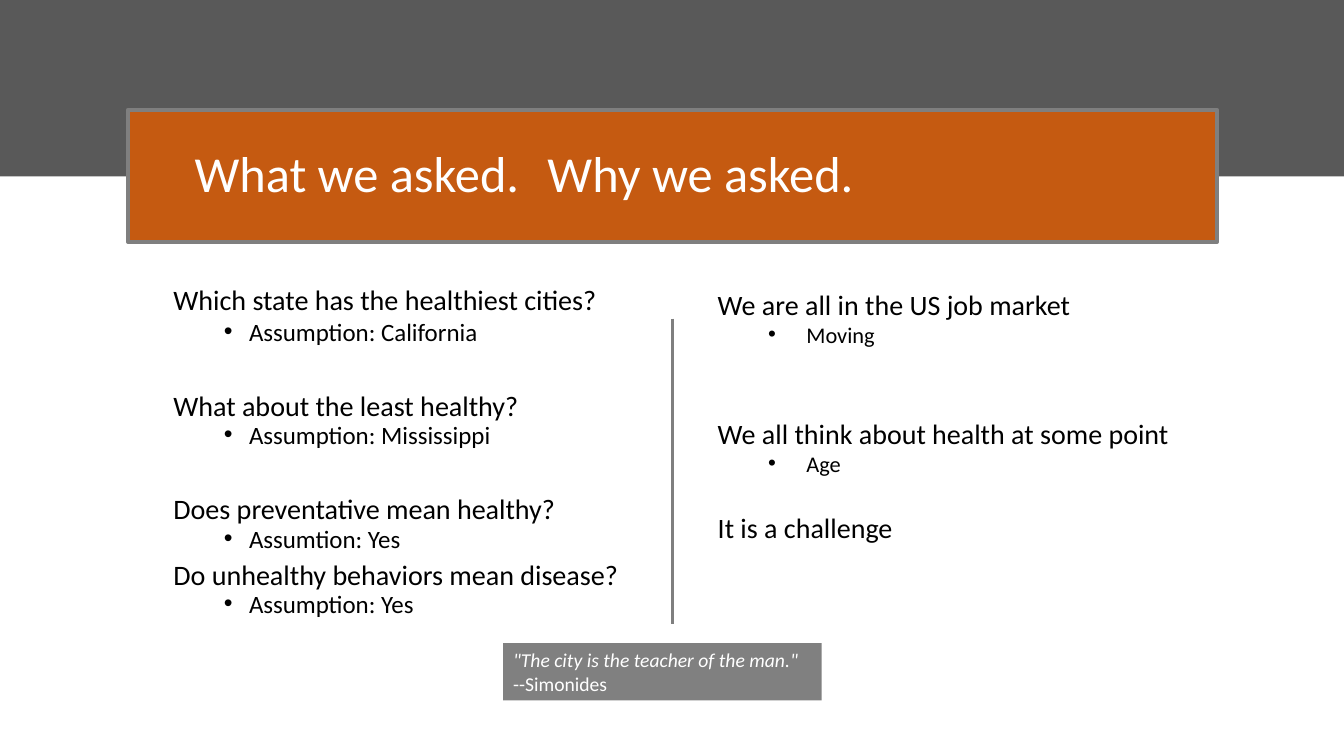
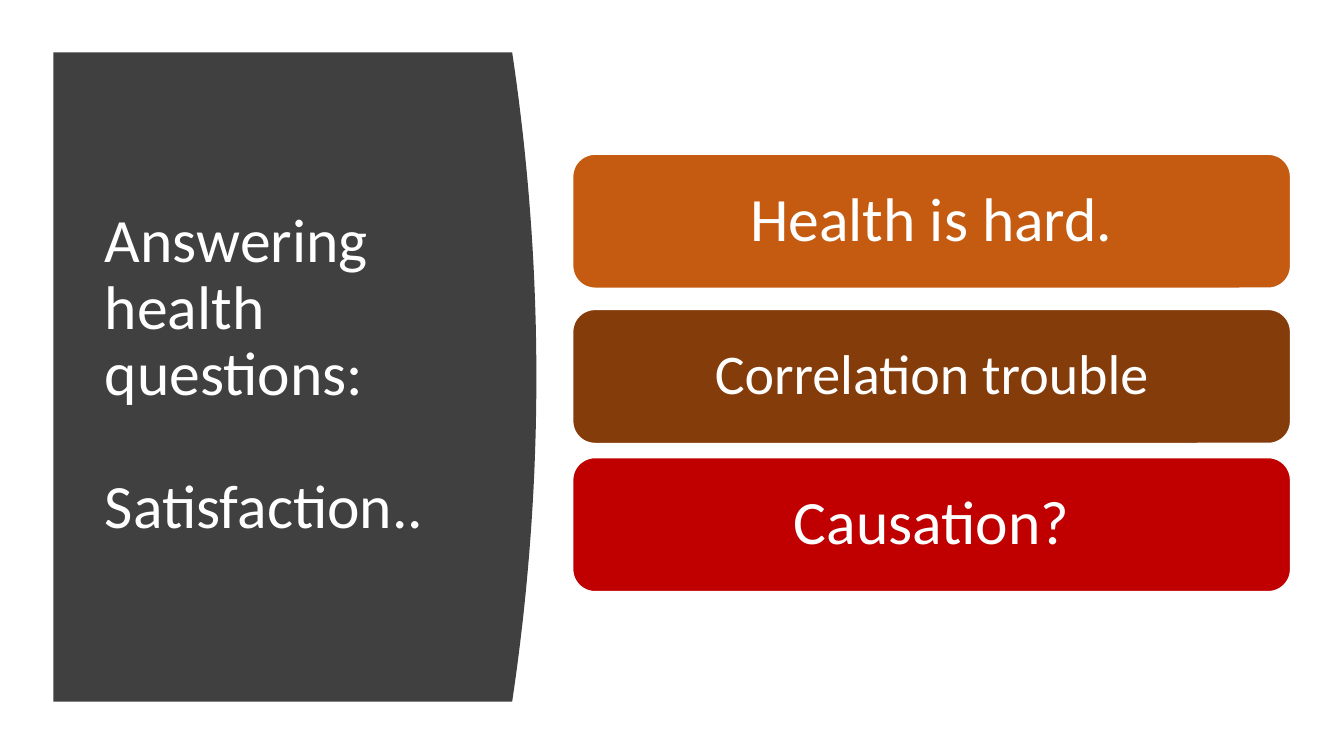
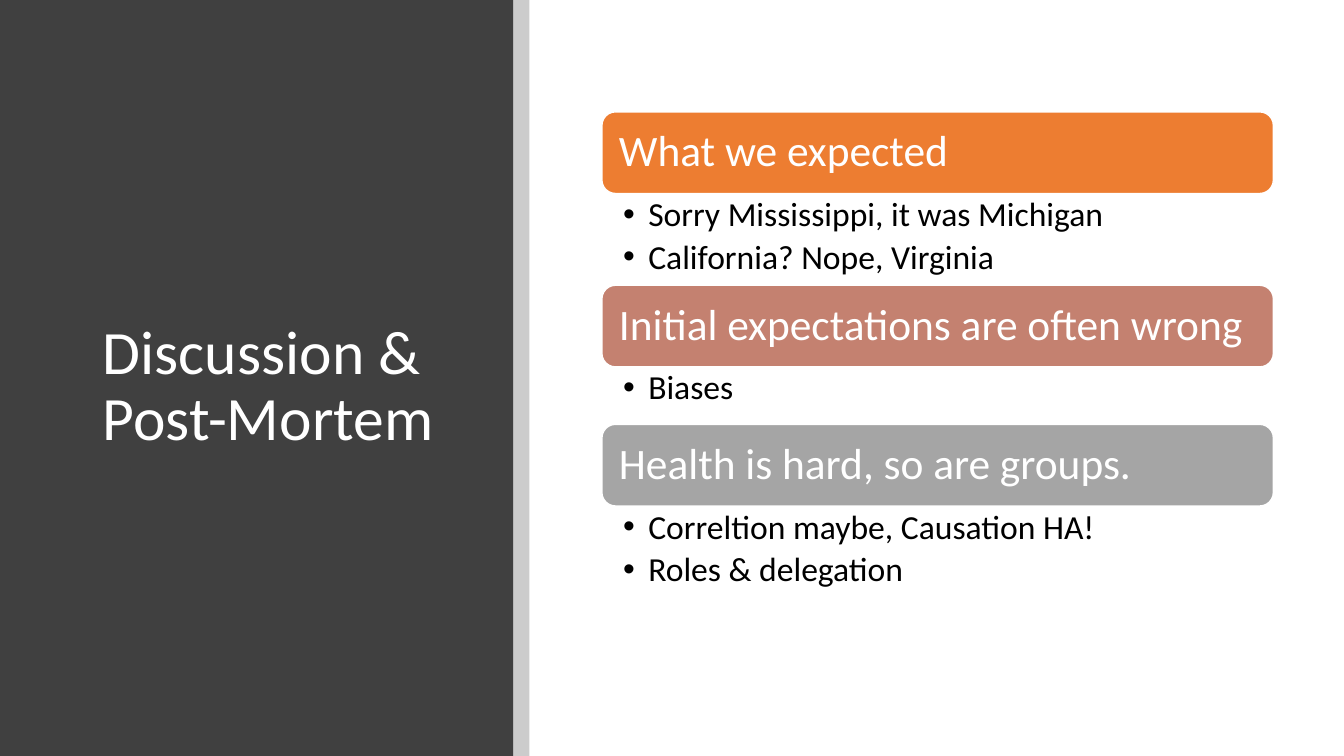
import pptx
import pptx.util
import pptx.dml.color
import pptx.enum.shapes
import pptx.enum.text
import lxml.etree
from pptx.oxml.ns import qn

Inches, Pt = pptx.util.Inches, pptx.util.Pt
rgb = pptx.dml.color.RGBColor.from_string
Kind = pptx.enum.shapes.MSO_SHAPE
Align = pptx.enum.text.PP_ALIGN
Anchor = pptx.enum.text.MSO_ANCHOR

# Shared colours and text styles
FONT = "Calibri"
WHITE, BLACK, DARK, GRAY, RUST = "FFFFFF", "000000", "404040", "7F7F7F", "C55A11"
TITLE = {"size": 44, "color": WHITE, "line": 0.9}
SIDES = ("margin_left", "margin_top", "margin_right", "margin_bottom")


def paint(shape, fill, line=None, width=1):
    shape.shadow.inherit = False
    shape.fill.solid()
    shape.fill.fore_color.rgb = rgb(fill)
    if line:
        shape.line.color.rgb = rgb(line)
        shape.line.width = Pt(width)
    else:
        shape.line.fill.background()
    return shape


def write(frame, rows, pad=(0.1, 0.05, 0.1, 0.05), anchor=Anchor.TOP):
    """Fill a frame with (text, style) rows, one paragraph each."""
    frame.word_wrap = True
    frame.auto_size = pptx.enum.text.MSO_AUTO_SIZE.NONE
    frame.vertical_anchor = anchor
    for side, gap in zip(SIDES, pad):
        setattr(frame, side, Inches(gap))
    for num, (text, style) in enumerate(rows):
        para = frame.add_paragraph() if num else frame.paragraphs[0]
        layout = {
            "alignment": style.get("align", Align.LEFT),
            "line_spacing": style.get("line", 1.0),
            "space_before": Pt(style.get("before", 0)),
            "space_after": Pt(style.get("after", 0)),
            "level": 1 if "hang" in style else 0,
        }
        for name, value in layout.items():
            setattr(para, name, value)
        # Bullet with hanging indent, and tab stop
        props = para._p.get_or_add_pPr()
        left, hang = style.get("hang", (0, 0))
        props.set("marL", str(Inches(left)))
        props.set("indent", str(Inches(hang)))
        if "hang" in style:
            lxml.etree.SubElement(props, qn("a:buFont")).set("typeface", "Arial")
            lxml.etree.SubElement(props, qn("a:buChar")).set("char", "•")
        else:
            lxml.etree.SubElement(props, qn("a:buNone"))
        if "tab" in style:
            tabs = lxml.etree.SubElement(props, qn("a:tabLst"))
            stop = lxml.etree.SubElement(tabs, qn("a:tab"))
            stop.set("pos", str(Inches(style["tab"])))
            stop.set("algn", "l")
        run = para.add_run()
        run.text = text
        face = {"name": FONT, "size": Pt(style["size"]),
                "italic": style.get("italic", False)}
        for name, value in face.items():
            setattr(run.font, name, value)
        run.font.color.rgb = rgb(style["color"])


deck = pptx.Presentation()
deck.slide_width, deck.slide_height = Inches(13.33), Inches(7.5)

# Slides with their titles: layout, title place, padding, rows
plans = [
    (1, (1.27, 1.09, 10.8, 1.31), 0.66,
     [("What we asked.\tWhy we asked.", {**TITLE, "size": 36, "tab": 5.67})]),
    (5, (0.94, 1.11, 3.74, 5.24), 0.1,
     [("Answering health questions:", TITLE),
      ("Satisfaction..", {**TITLE, "before": 47.5})]),
    (5, (0.92, 0.89, 3.65, 5.91), 0.1, [("Discussion & Post-Mortem", TITLE)]),
]
slides = []
for index, place, left, rows in plans:
    slide = deck.slides.add_slide(deck.slide_layouts[index])
    title = slide.shapes.title
    title.left, title.top, title.width, title.height = map(Inches, place)
    write(title.text_frame, rows, (left, 0.05, 0.1, 0.05), Anchor.MIDDLE)
    slides.append(slide)
ask, answer, review = slides

# Slide 1: top band behind the title box
band = ask.shapes.add_shape(Kind.RECTANGLE, 0, 0, deck.slide_width, Inches(1.75))
paint(band, "595959")
ask.shapes._spTree.insert(2, band._element)
paint(ask.shapes.title, RUST, GRAY, 3)

# Slide 1: questions
head = {"size": 20.1, "color": BLACK, "line": 0.7, "before": 10}
item = {**head, "size": 17.8, "before": 5, "hang": (0.75, -0.25)}
body = ask.placeholders[1]
body.left, body.top, body.width, body.height = map(Inches, (1.62, 2.84, 4.7, 3.56))
write(body.text_frame, [
    ("Which state has the healthiest cities?", {**head, "before": 0}),
    ("Assumption: California", {**item, "before": 7}),
    ("What about the least healthy?", {**head, "before": 37}),
    ("Assumption: Mississippi", item),
    ("Does preventative mean healthy?", {**head, "before": 37}),
    ("Assumtion: Yes", item),
    ("Do unhealthy behaviors mean disease?", head),
    ("Assumption: Yes", item),
])

# Slide 1: divider
rule = ask.shapes.add_connector(
    pptx.enum.shapes.MSO_CONNECTOR.STRAIGHT,
    Inches(6.67), Inches(3.16), Inches(6.67), Inches(6.19))
rule.line.color.rgb = rgb(GRAY)
rule.line.width = Pt(1.5)
lxml.etree.SubElement(rule._element.spPr, qn("a:effectLst"))

# Slide 1: reasons
head = {"size": 20, "color": BLACK}
item = {"size": 16, "color": BLACK, "hang": (0.88, -0.38)}
why = ask.shapes.add_textbox(*map(Inches, (7.02, 2.8, 4.69, 3.59)))
write(why.text_frame, [
    ("We are all in the US job market", head),
    ("Moving", item),
    ("We all think about health at some point", {**head, "before": 48.8}),
    ("Age", item),
    ("It is a challenge", {**head, "before": 24.4}),
])

# Slide 1: quote
quote = ask.shapes.add_shape(Kind.RECTANGLE, *map(Inches, (4.99, 6.38, 3.16, 0.57)))
paint(quote, "808080")
small = {"size": 14, "color": WHITE}
write(quote.text_frame, [
    ('"The city is the teacher of the man."', {**small, "italic": True}),
    ("--Simonides", small),
])

# Slide 2: panel with a bowed right edge
left, top, edge, base, bow, steps = 0.53, 0.52, 5.08, 6.96, 0.24, 40
curve = []
for step in range(steps + 1):
    part = step / steps
    curve.append((Inches(edge + bow * 4 * part * (1 - part)),
                  Inches(top + (base - top) * part)))
pen = answer.shapes.build_freeform(Inches(left), Inches(top))
pen.add_line_segments(curve + [(Inches(left), Inches(base))], close=True)
panel = paint(pen.convert_to_shape(), DARK)
answer.shapes._spTree.insert(2, panel._element)

# Slide 2: answer bars
for top, text, size, fill in [
    (1.53, "Health is hard.", 44, RUST),
    (3.07, "Correlation trouble", 40, "843C0B"),
    (4.54, "Causation?", 44, "C00000"),
]:
    bar = answer.shapes.add_shape(
        Kind.ROUNDED_RECTANGLE, *map(Inches, (5.68, top, 7.12, 1.33)))
    paint(bar, fill, WHITE)
    style = {**TITLE, "size": size, "align": Align.CENTER}
    write(bar.text_frame, [(text, style)], (0.18,) * 4, Anchor.MIDDLE)

# Slide 3: side panel and its translucent strip
panel = review.shapes.add_shape(Kind.RECTANGLE, 0, 0, Inches(5.09), deck.slide_height)
paint(panel, DARK)
review.shapes._spTree.insert(2, panel._element)
strip = review.shapes.add_shape(
    Kind.RECTANGLE, Inches(5.09), 0, Inches(0.16), deck.slide_height)
paint(strip, BLACK)
tone = strip._element.spPr.find(qn("a:solidFill"))[0]
lxml.etree.SubElement(tone, qn("a:alpha")).set("val", "20000")

# Slide 3: headed lists, stacked
item = {"size": 24, "color": BLACK, "line": 0.9, "after": 4.4, "hang": (0.25, -0.25)}
top, deep = 1.11, 0.81
for text, fill, tall, notes in [
    ("What we expected", "ED7D31", 0.91,
     ["Sorry Mississippi, it was Michigan", "California? Nope, Virginia"]),
    ("Initial expectations are often wrong", "C48170", 0.57, ["Biases"]),
    ("Health is hard, so are groups.", "A5A5A5", 1.37,
     ["Correltion maybe, Causation HA!", "Roles & delegation"]),
]:
    bar = review.shapes.add_shape(
        Kind.ROUNDED_RECTANGLE, *map(Inches, (5.97, top, 6.66, deep)))
    paint(bar, fill, WHITE)
    write(bar.text_frame, [(text, {**TITLE, "size": 31})],
          (0.13,) * 4, Anchor.MIDDLE)
    box = review.shapes.add_textbox(*map(Inches, (5.97, top + deep, 6.66, tall)))
    write(box.text_frame, [(note, item) for note in notes], (0.21, 0.04, 0.24, 0.04))
    top += deep + tall

deck.save("out.pptx")
